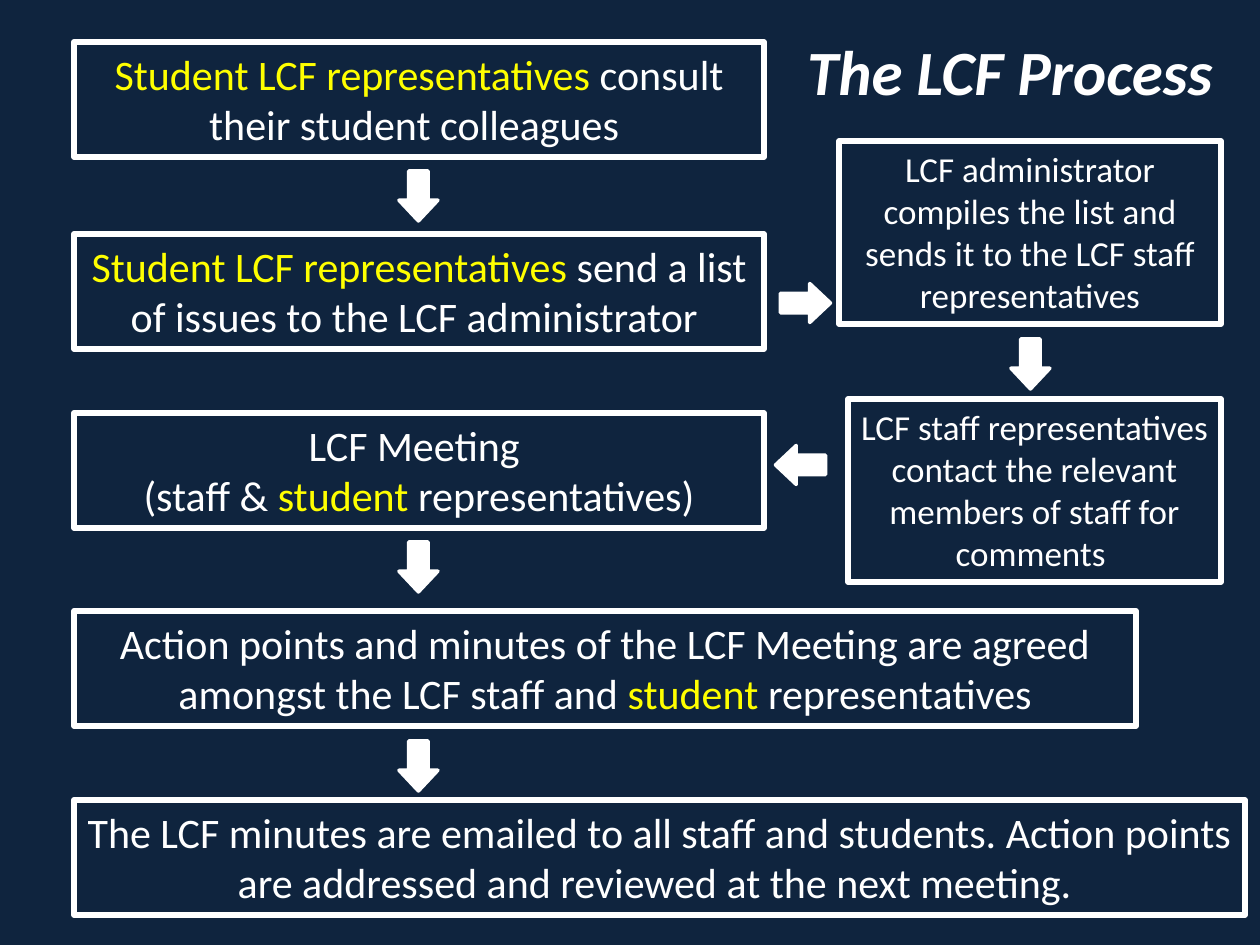
from pptx import Presentation
from pptx.dml.color import RGBColor
from pptx.enum.shapes import MSO_SHAPE
from pptx.enum.text import MSO_ANCHOR, MSO_AUTO_SIZE, PP_ALIGN
from pptx.util import Inches, Pt

NAVY = RGBColor(0x0F, 0x24, 0x3E)
WHITE = RGBColor(0xFF, 0xFF, 0xFF)
YELLOW = RGBColor(0xFF, 0xFF, 0x00)
SCALE = Inches(1) / 126
WIDE, TALL = 1260, 945
STEP_H, NOTE_H = 115, 183
ARROW_W, ARROW_H = 39, 50

FRAME = {"word_wrap": True, "auto_size": MSO_AUTO_SIZE.NONE}
HEAD = {"name": "Calibri", "size": Pt(36), "bold": True, "italic": True}
STEP = {"name": "Calibri", "size": Pt(24)}
NOTE = {"name": "Calibri", "size": Pt(20)}

STEPS = [
    (0, 690, ["*Student LCF representatives* consult their student colleagues "]),
    (192, 690, ["*Student LCF representatives* send a list of issues to the LCF administrator "]),
    (371, 690, ["LCF Meeting ", "(staff & *student* representatives)"]),
    (569, 1062, ["Action points and minutes of the LCF Meeting are agreed amongst "
                 "the LCF staff and *student *representatives"]),
    (758, 1171, ["The LCF minutes are emailed to all staff and students. "
                 "Action points are addressed and reviewed at the next meeting. "]),
]
NOTES = [
    (0, 0, "LCF administrator compiles the list and sends it to the LCF staff representatives"),
    (9, 258, "LCF staff representatives contact the relevant members of staff for comments "),
]


def px(num):
    """Turn px into EMU."""
    return round(num * SCALE)


def style(item, form):
    """Set each attribute named in a dict of format values."""
    for key, val in form.items():
        setattr(item, key, val)


def write(frame, lines, form, anchor):
    """Fill a text frame with centred lines, with starred words in yellow."""
    style(frame, {**FRAME, "vertical_anchor": anchor})
    for row, line in enumerate(lines):
        para = frame.paragraphs[0] if row == 0 else frame.add_paragraph()
        para.alignment = PP_ALIGN.CENTER
        for part, text in enumerate(line.split("*")):
            if text:
                run = para.add_run()
                run.text = text
                style(run.font, form)
                run.font.color.rgb = YELLOW if part % 2 else WHITE


def shape(slide, kind, box, weight):
    """Add a white-lined shape without a shadow."""
    item = slide.shapes.add_shape(kind, *map(px, box))
    item.shadow.inherit = False
    item.line.color.rgb = WHITE
    item.line.width = Pt(weight)
    return item


def panel(slide, box, lines, form):
    """Add an outlined box of text."""
    item = shape(slide, MSO_SHAPE.RECTANGLE, box, 3.25)
    item.fill.background()
    write(item.text_frame, lines, form, MSO_ANCHOR.TOP)


def arrow(slide, left, top, turn=0):
    """Add a block arrow that points down unless turned."""
    item = shape(slide, MSO_SHAPE.DOWN_ARROW, (left, top, ARROW_W, ARROW_H), 2)
    item.adjustments[1] = 0.531
    item.fill.solid()
    item.fill.fore_color.rgb = WHITE
    item.rotation = turn


def title(slide, box):
    """Place the slide title."""
    item = slide.shapes.title
    style(item, dict(zip(("left", "top", "width", "height"), map(px, box))))
    write(item.text_frame, ["The LCF Process"], HEAD, MSO_ANCHOR.TOP)


def steps(slide, left, top):
    """Stack the main steps with arrows between them."""
    for down, width, lines in STEPS:
        panel(slide, (left, top + down, width, STEP_H), lines, STEP)
    for down in (129, 500, 699):
        arrow(slide, left + 325, top + down)


def notes(slide, left, top, width):
    """Stack the staff steps, flush right, with an arrow between them."""
    for inset, down, text in NOTES:
        panel(slide, (left + inset, top + down, width - inset, NOTE_H), [text], NOTE)
    arrow(slide, left + 172, top + 198)


def links(slide, left, top):
    """Join the main steps to the staff steps and back."""
    arrow(slide, left + 5, top, 270)
    arrow(slide, left, top + 162, 90)


def main():
    """Build the slide and save it."""
    deck = Presentation()
    style(deck, {"slide_width": px(WIDE), "slide_height": px(TALL)})
    slide = deck.slides.add_slide(deck.slide_layouts[5])
    slide.background.fill.solid()
    slide.background.fill.fore_color.rgb = NAVY
    title(slide, (745, 26, 530, 90))
    steps(slide, 74, 42)
    notes(slide, 839, 141, 382)
    links(slide, 781, 278)
    deck.save("out.pptx")


if __name__ == "__main__":
    main()
